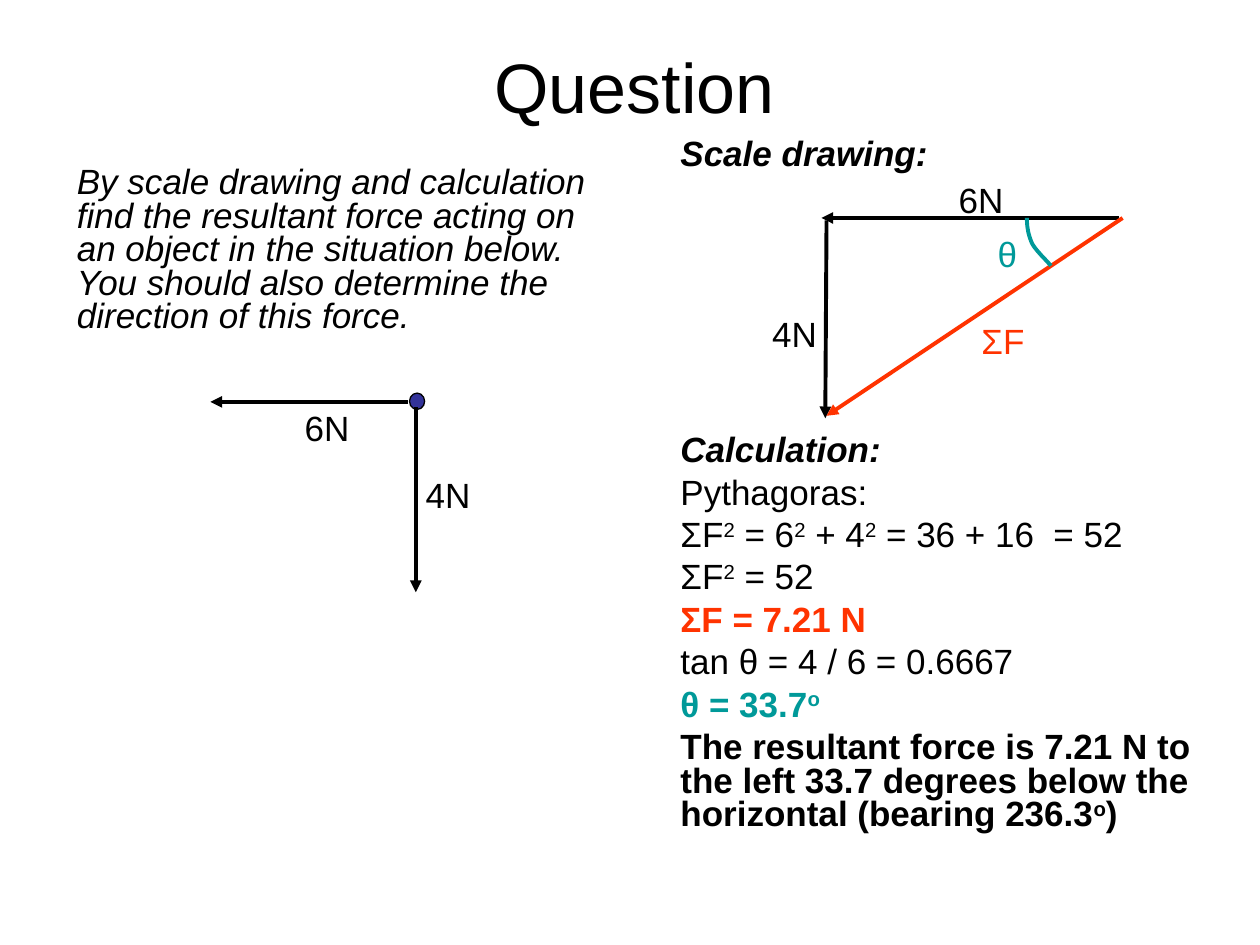
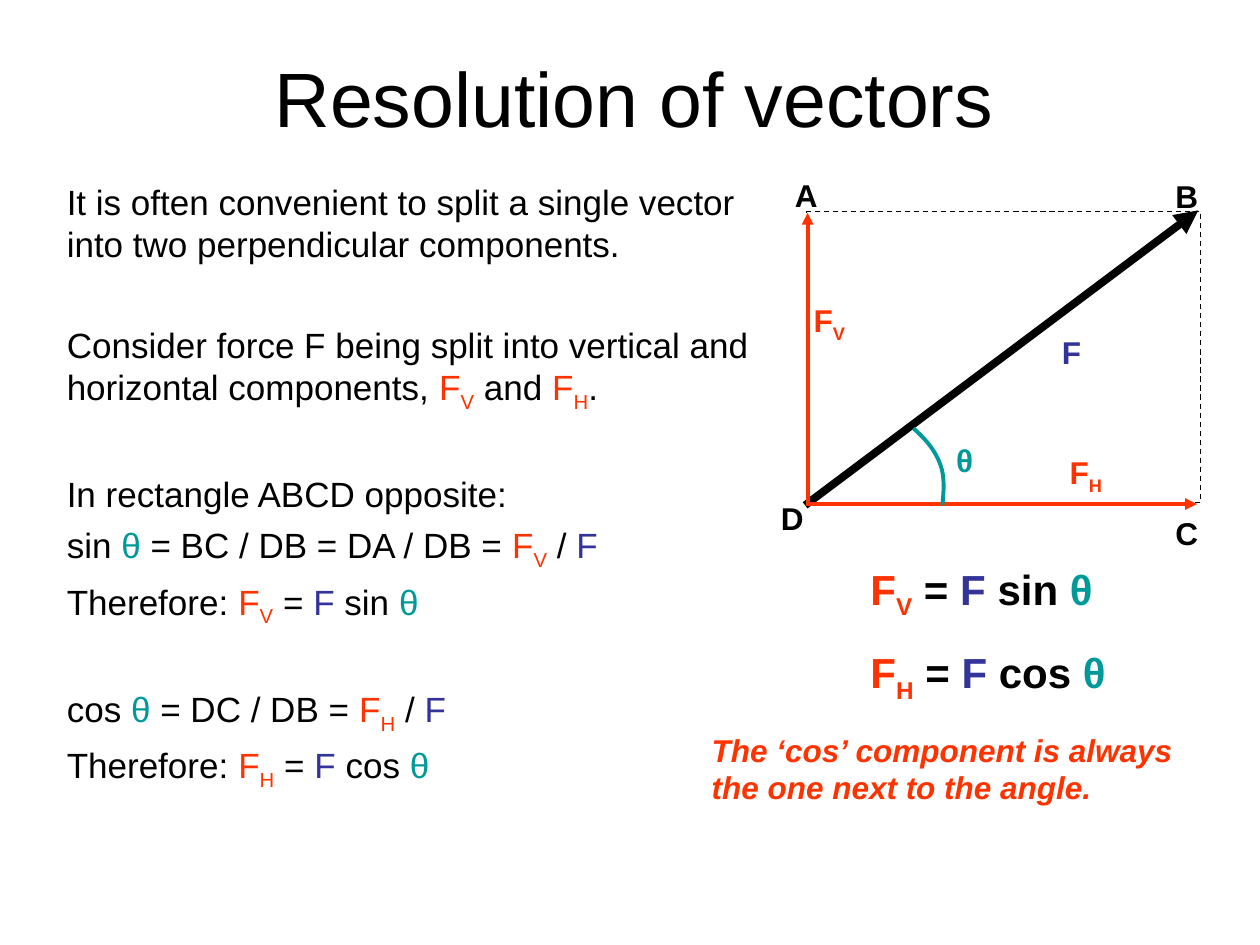
from dataclasses import dataclass

from lxml.etree import SubElement
from pptx import Presentation
from pptx.dml.color import RGBColor
from pptx.enum.dml import MSO_LINE
from pptx.enum.shapes import MSO_CONNECTOR, MSO_SHAPE
from pptx.enum.text import MSO_ANCHOR, MSO_AUTO_SIZE, PP_ALIGN
from pptx.oxml.ns import qn
from pptx.util import Inches, Pt


@dataclass(frozen=True)
class Theme:
    font: str = "Arial"
    black: str = "000000"
    red: str = "FF3300"
    teal: str = "009999"
    blue: str = "333399"
    title: int = 44
    small_title: int = 40
    equation: int = 24
    body: int = 20
    label: int = 18
    thin: float = 0.75
    line: float = 2.25
    thick: float = 4.5
    gap: int = 5
    section_gap: int = 34


T = Theme()
BOLD = {"bold": True}
ITALIC = {"italic": True}
BOLD_ITALIC = {**BOLD, **ITALIC}
SUPER, SUB = 30000, -25000

# A run is (text, colour, baseline); the last two may be left out.
SQUARED = ("2", T.black, SUPER)
THETA = ("θ", T.teal)
F = ("F", T.blue)
F_V = [("F", T.red), ("V", T.red, SUB)]
F_H = [("F", T.red), ("H", T.red, SUB)]


def add_run(p, size, style, text, color=T.black, baseline=0):
    r = p.add_run()
    r.text = text
    for name, value in {"name": T.font, "size": Pt(size), **style}.items():
        setattr(r.font, name, value)
    r.font.color.rgb = RGBColor.from_string(color)
    if baseline:
        r.font._element.set("baseline", str(baseline))


def write(tf, paragraphs, size, spacing=1.0):
    """Fill tf with paragraphs given as (runs, style, space before)."""
    tf.word_wrap = True
    for i, (runs, style, before) in enumerate(paragraphs):
        p = tf.paragraphs[0] if i == 0 else tf.add_paragraph()
        formats = {"line_spacing": spacing, "space_before": Pt(before),
                   "space_after": Pt(0)}
        for name, value in formats.items():
            setattr(p, name, value)
        for run in runs:
            add_run(p, size, style, *run)


def place(sp, box):
    for name, value in zip(("left", "top", "width", "height"), box):
        setattr(sp, name, Inches(value))


def fill_title(s, text, size, height):
    sp = s.shapes.title
    place(sp, (0.5, 0.3, 9.07, height))
    tf = sp.text_frame
    write(tf, [([(text,)], {}, 0)], size)
    tf.vertical_anchor = MSO_ANCHOR.MIDDLE
    tf.auto_size = MSO_AUTO_SIZE.NONE
    tf.paragraphs[0].alignment = PP_ALIGN.CENTER


def fill_body(sp, box, paragraphs, spacing=1.0):
    place(sp, box)
    tf = sp.text_frame
    write(tf, paragraphs, T.body, spacing)
    tf.auto_size = MSO_AUTO_SIZE.NONE
    for p in tf.paragraphs:
        pPr = p._p.get_or_add_pPr()
        pPr.set("marL", "0")
        pPr.set("indent", "0")
        SubElement(pPr, qn("a:buNone"))


def add_text(s, box, paragraphs, size):
    sp = s.shapes.add_textbox(*map(Inches, box))
    write(sp.text_frame, paragraphs, size)
    sp.text_frame.auto_size = MSO_AUTO_SIZE.SHAPE_TO_FIT_TEXT


def set_line(sp, color, width):
    sp.line.color.rgb = RGBColor.from_string(color)
    sp.line.width = Pt(width)


class Diagram:
    """Draws on a slide in inches measured from the corner of a box."""

    def __init__(self, s, left, top, label_size, label_style):
        self.s, self.left, self.top = s, left, top
        self.label_size, self.label_style = label_size, label_style

    def at(self, x, y):
        return Inches(self.left + x), Inches(self.top + y)

    def arrow(self, start, end, color=T.black, width=T.line):
        c = self.s.shapes.add_connector(
            MSO_CONNECTOR.STRAIGHT, *self.at(*start), *self.at(*end))
        set_line(c, color, width)
        SubElement(c.line._get_or_add_ln(), qn("a:tailEnd"), type="triangle")
        SubElement(c._element.spPr, qn("a:effectLst"))

    def label(self, x, y, width, *runs):
        box = (self.left + x, self.top + y, width, 0.4)
        add_text(self.s, box, [(runs, self.label_style, 0)], self.label_size)

    def shape(self, kind, x, y, width, height, fill=None):
        sp = self.s.shapes.add_shape(
            kind, *self.at(x, y), Inches(width), Inches(height))
        sp.shadow.inherit = False
        if fill:
            sp.fill.solid()
            sp.fill.fore_color.rgb = RGBColor.from_string(fill)
        else:
            sp.fill.background()
        set_line(sp, T.black, T.thin)
        return sp

    def angle_mark(self, *points, steps=12):
        """Trace joined cubic curves through start, control, control, end, ..."""
        trace = []
        for k in range(0, len(points) - 1, 3):
            for i in range(1, steps + 1):
                t = i / steps
                u = 1 - t
                weights = (u ** 3, 3 * u * u * t, 3 * u * t * t, t ** 3)
                trace.append(self.at(*(
                    sum(w * q[axis] for w, q in zip(weights, points[k:k + 4]))
                    for axis in (0, 1))))
        builder = self.s.shapes.build_freeform(*self.at(*points[0]))
        builder.add_line_segments(trace, close=False)
        sp = builder.convert_to_shape()
        sp.shadow.inherit = False
        sp.fill.background()
        set_line(sp, T.teal, T.line)


def draw_forces(s, left, top):
    d = Diagram(s, left, top, T.body, {})
    d.shape(MSO_SHAPE.OVAL, 1.58, 0, 0.12, 0.13, T.blue)
    d.arrow((1.57, 0.07), (0, 0.07))
    d.arrow((1.63, 0.11), (1.63, 1.58))
    d.label(0.65, 0.06, 0.62, ("6N",))
    d.label(1.61, 0.59, 0.58, ("4N",))


def draw_force_triangle(s, left, top):
    d = Diagram(s, left, top, T.body, {})
    d.arrow((2.36, 0), (0, 0))
    d.label(0.99, -0.36, 0.62, ("6N",))
    d.arrow((0.04, 0.02), (0.03, 1.59))
    d.label(-0.49, 0.7, 0.58, ("4N",))
    d.arrow((2.39, 0), (0.04, 1.57), T.red)
    d.label(1.17, 0.76, 0.68, ("ΣF", T.red))
    d.angle_mark((1.63, 0), (1.63, 0.07), (1.64, 0.13), (1.67, 0.2),
                 (1.7, 0.26), (1.8, 0.35), (1.82, 0.38))
    d.label(1.3, 0.07, 0.55, THETA)


def draw_components(s, left, top, width, height):
    d = Diagram(s, left, top, T.label, BOLD)
    d.arrow((-0.01, height + 0.02), (width - 0.02, -0.01), width=T.thick)
    d.shape(MSO_SHAPE.RECTANGLE, 0, 0, width, height).line.dash_style = MSO_LINE.DASH
    d.arrow((0.01, height), (0.01, 0.01), T.red)
    d.arrow((0, height + 0.01), (width - 0.03, height + 0.01), T.red)
    d.angle_mark((0.85, 1.72), (0.94, 1.8), (1.02, 1.89), (1.06, 2),
                 (1.1, 2.1), (1.09, 2.21), (1.08, 2.33))
    d.label(1.93, 0.91, 0.52, F)
    d.label(-0.04, 0.66, 0.6, *F_V)
    d.label(1.99, 1.87, 0.6, *F_H)
    d.label(1.09, 1.77, 0.83, THETA)
    corners = {"A": (-0.19, -0.33), "B": (2.83, -0.32),
               "C": (2.83, 2.35), "D": (-0.3, 2.23)}
    for name, (x, y) in corners.items():
        d.label(x, y, 0.5, (name,))


def question_slide(prs):
    s = prs.slides.add_slide(prs.slide_layouts[3])
    fill_title(s, "Question", T.small_title, 0.76)
    question = (
        "By scale drawing and calculation find the resultant force acting on "
        "an object in the situation below. You should also determine the "
        "direction of this force.")
    conclusion = (
        "The resultant force is 7.21 N to the left 33.7 degrees below the "
        "horizontal (bearing 236.3")
    drawing_space = 150
    working = [
        ([("Scale drawing:",)], BOLD_ITALIC, T.gap),
        ([("Calculation:",)], BOLD_ITALIC, drawing_space),
        ([("Pythagoras:",)], {}, T.gap),
        ([("ΣF",), SQUARED, (" = 6",), SQUARED, (" + 4",), SQUARED,
          (" = 36 + 16  = 52",)], {}, T.gap),
        ([("ΣF",), SQUARED, (" = 52",)], {}, T.gap),
        ([("ΣF = 7.21 N", T.red)], BOLD, T.gap),
        ([("tan θ = 4 / 6 = 0.6667",)], {}, T.gap),
        ([("θ = 33.7", T.teal), ("o", T.teal, SUPER)], BOLD, T.gap),
        ([(conclusion,), ("o", T.black, SUPER), (")",)], BOLD, T.gap),
    ]
    left, right = s.placeholders[1], s.placeholders[2]
    fill_body(left, (0.51, 1.28, 4.41, 2), [([(question,)], ITALIC, T.gap)], 0.8)
    fill_body(right, (5.3, 1.06, 4.48, 5.65), working, 0.8)
    draw_forces(s, 1.67, 3.12)
    draw_force_triangle(s, 6.52, 1.73)


def derivation(function, ratio, component):
    """Two lines that derive one component from a trigonometric ratio."""
    return [
        [(f"{function} ",), THETA, (f" = {ratio} = ",), *component, (" / ",), F],
        [("Therefore: ",), *component, (" = ",), F, (f" {function} ",), THETA],
    ]


def resolution_slide(prs):
    s = prs.slides.add_slide(prs.slide_layouts[1])
    fill_title(s, "Resolution of vectors", T.title, 0.93)
    sections = [
        [[("It is often convenient to split a single vector into two "
           "perpendicular components.",)]],
        [[("Consider force F being split into vertical and horizontal "
           "components, ",), *F_V, (" and ",), *F_H, (".",)]],
        [[("In rectangle ABCD opposite:",)],
         *derivation("sin", "BC / DB = DA / DB", F_V)],
        derivation("cos", "DC / DB", F_H),
    ]
    paragraphs = [(runs, {}, T.gap if i else T.section_gap)
                  for section in sections for i, runs in enumerate(section)]
    paragraphs[0] = (*paragraphs[0][:2], T.gap)
    fill_body(s.placeholders[1], (0.43, 1.38, 5.66, 4.99), paragraphs)
    draw_components(s, 6.4, 1.68, 3.13, 2.31)
    results = [([*component, (" = ",), F, (f" {function} ",), THETA], BOLD, 15)
               for component, function in ((F_V, "sin"), (F_H, "cos"))]
    add_text(s, (6.81, 4.42, 2.25, 1.22), results, T.equation)
    reminder = "The ‘cos’ component is always the one next to the angle."
    add_text(s, (5.55, 5.75, 4.08, 0.7),
             [([(reminder, T.red)], BOLD_ITALIC, 0)], T.label)


def main():
    prs = Presentation()
    prs.slide_width, prs.slide_height = Inches(10), Inches(7.5)
    question_slide(prs)
    resolution_slide(prs)
    prs.save("out.pptx")


if __name__ == "__main__":
    main()
